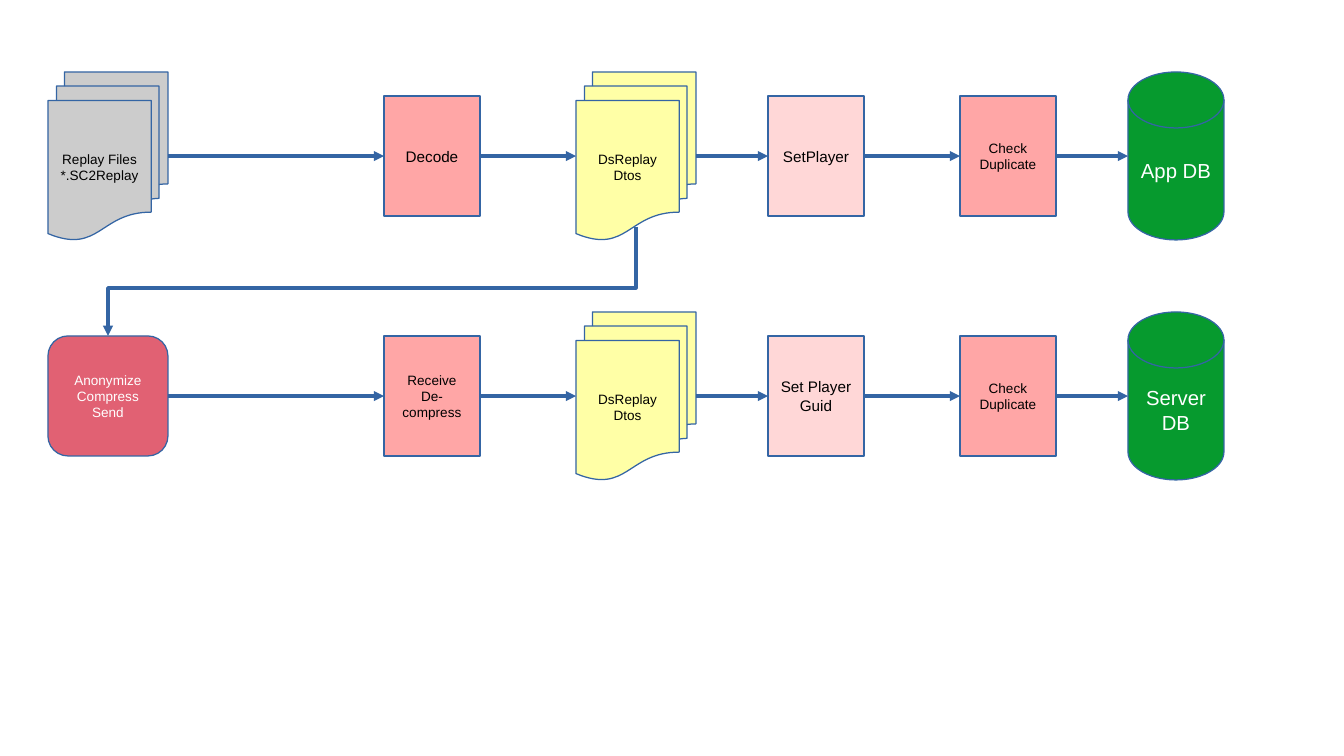
from itertools import pairwise

from lxml.etree import SubElement
from pptx import Presentation
from pptx.dml.color import RGBColor
from pptx.enum.shapes import MSO_CONNECTOR, MSO_SHAPE
from pptx.enum.text import MSO_ANCHOR, PP_ALIGN
from pptx.oxml.ns import qn
from pptx.util import Cm, Pt

GREY = RGBColor(0xCC, 0xCC, 0xCC)
YELLOW = RGBColor(0xFF, 0xFF, 0xA6)
SALMON = RGBColor(0xFF, 0xA6, 0xA6)
PINK = RGBColor(0xFF, 0xD7, 0xD7)
RED = RGBColor(0xE1, 0x61, 0x73)
GREEN = RGBColor(0x06, 0x9A, 0x2E)
BLUE = RGBColor(0x34, 0x65, 0xA4)
BLACK = RGBColor(0, 0, 0)
WHITE = RGBColor(0xFF, 0xFF, 0xFF)

# Kinds of step: shape, width, height (cm), text colour
FILES = (MSO_SHAPE.FLOWCHART_MULTIDOCUMENT, 2.5, 3.5, BLACK)
PROCESS = (MSO_SHAPE.FLOWCHART_PROCESS, 2, 2.5, BLACK)
SENDER = (MSO_SHAPE.FLOWCHART_ALTERNATE_PROCESS, 2.5, 2.5, WHITE)
DATABASE = (MSO_SHAPE.FLOWCHART_MAGNETIC_DISK, 2, 3.5, WHITE)

# Steps of each pipeline: kind, fill, font size, paragraphs
APP_STEPS = [
    (FILES, GREY, 8, ["Replay Files", "*.SC2Replay"]),
    (PROCESS, SALMON, 9, ["Decode"]),
    (FILES, YELLOW, 8, ["DsReplay Dtos"]),
    (PROCESS, PINK, 9, ["SetPlayer"]),
    (PROCESS, SALMON, 8, ["Check", "Duplicate"]),
    (DATABASE, GREEN, 12, ["App DB"]),
]
SERVER_STEPS = [
    (SENDER, RED, 8, ["Anonymize", "Compress", "Send"]),
    (PROCESS, SALMON, 8, ["Receive", "De-compress"]),
    (FILES, YELLOW, 8, ["DsReplay Dtos"]),
    (PROCESS, PINK, 9, ["Set Player Guid"]),
    (PROCESS, SALMON, 8, ["Check", "Duplicate"]),
    (DATABASE, GREEN, 12, ["Server DB"]),
]
COLUMN_LEFTS = [1, 8, 12, 16, 20, 23.5]
PIPELINES = [(3.25, APP_STEPS), (8.25, SERVER_STEPS)]  # centre line, steps

# Branch from the decoded replays down to the sender
BRANCH_START = (13.25, 4.72)
BRANCH_END = (2.25, 7)
BRANCH_BEND = 6

prs = Presentation()
prs.slide_width, prs.slide_height = Cm(28), Cm(15.75)
slide = prs.slides.add_slide(prs.slide_layouts[6])


def add_step(left, middle, kind, fill, size, paragraphs):
    preset, width, height, text_color = kind
    step = slide.shapes.add_shape(
        preset, Cm(left), Cm(middle - height / 2), Cm(width), Cm(height))
    step.shadow.inherit = False
    step.fill.solid()
    step.fill.fore_color.rgb = fill
    step.line.color.rgb = BLUE
    step.line.width = Pt(0)
    frame = step.text_frame
    frame.word_wrap = True
    frame.vertical_anchor = MSO_ANCHOR.MIDDLE
    for i, text in enumerate(paragraphs):
        paragraph = frame.add_paragraph() if i else frame.paragraphs[0]
        paragraph.alignment = PP_ALIGN.CENTER
        run = paragraph.add_run()
        run.text = text
        run.font.name = "Arial"
        run.font.size = Pt(size)
        run.font.color.rgb = text_color


def add_arrow(route, x1, y1, x2, y2):
    arrow = slide.shapes.add_connector(route, Cm(x1), Cm(y1), Cm(x2), Cm(y2))
    arrow.line.color.rgb = BLUE
    arrow.line.width = Pt(0)
    SubElement(arrow.line._get_or_add_ln(), qn("a:tailEnd"), type="triangle")
    SubElement(arrow._element.spPr, qn("a:effectLst"))
    return arrow


# Pipelines, with an arrow between neighbouring steps
for middle, steps in PIPELINES:
    for left, step in zip(COLUMN_LEFTS, steps):
        add_step(left, middle, *step)
    for (left, (kind, *_)), (next_left, _) in pairwise(zip(COLUMN_LEFTS, steps)):
        add_arrow(MSO_CONNECTOR.STRAIGHT, left + kind[1], middle, next_left, middle)

# Branch: an elbow turned by 90 degrees so that it leaves downwards
(start_x, start_y), (end_x, end_y) = BRANCH_START, BRANCH_END
center_x, center_y = (start_x + end_x) / 2, (start_y + end_y) / 2
drop, span = end_y - start_y, start_x - end_x
branch = add_arrow(MSO_CONNECTOR.ELBOW, center_x - drop / 2, center_y - span / 2,
                   center_x + drop / 2, center_y + span / 2)
properties = branch._element.spPr
properties.find(qn("a:xfrm")).set("rot", str(90 * 60000))
geometry = properties.find(qn("a:prstGeom"))
adjustments = geometry.find(qn("a:avLst"))
if adjustments is None:
    adjustments = SubElement(geometry, qn("a:avLst"))
bend = round((BRANCH_BEND - start_y) / drop * 100000)
SubElement(adjustments, qn("a:gd"), name="adj1", fmla=f"val {bend}")

prs.save("out.pptx")
